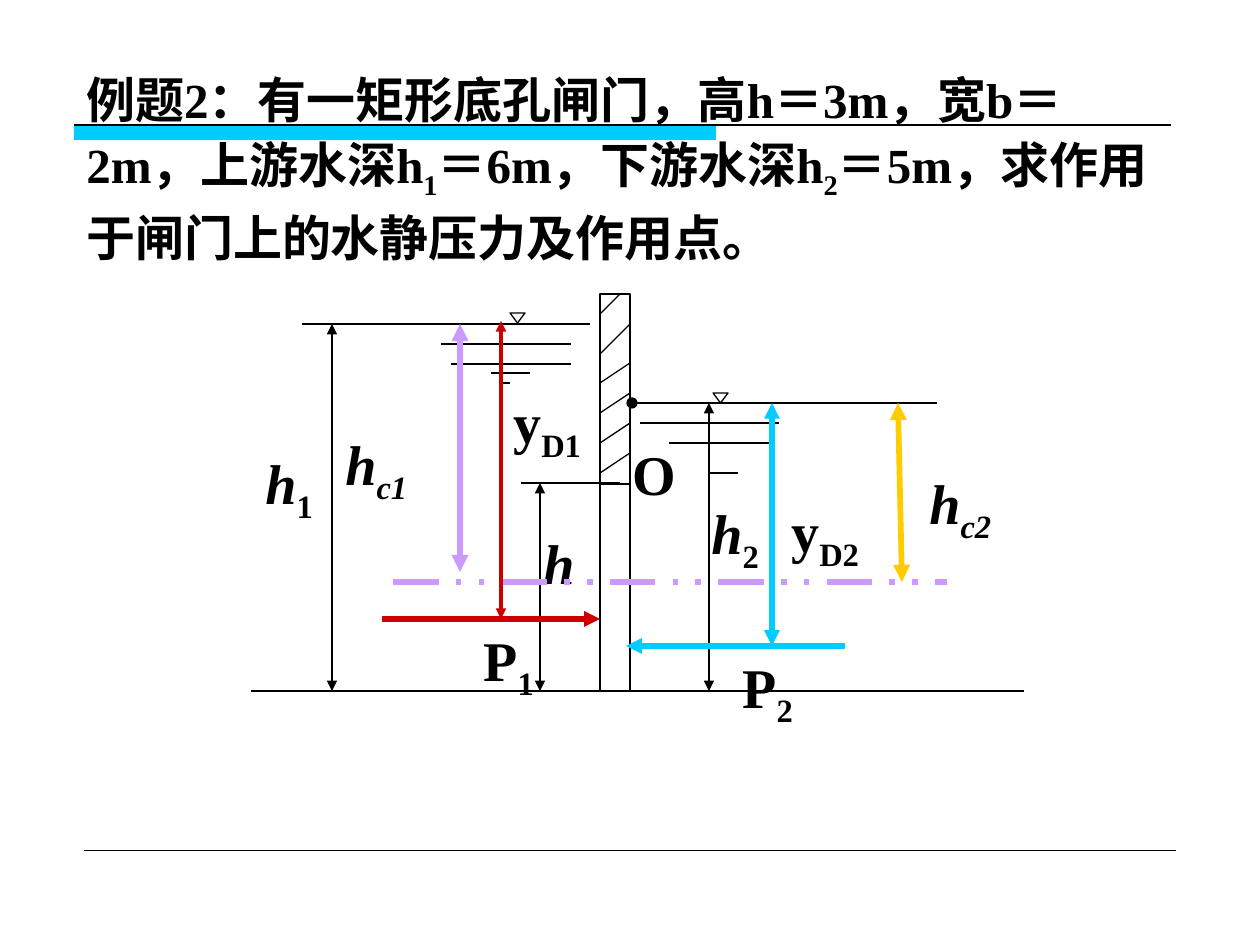
import pptx
import pptx.util
import pptx.dml.color
import pptx.enum.dml
import pptx.enum.shapes
import pptx.enum.text
import pptx.oxml.ns
import lxml.etree

RGB = pptx.dml.color.RGBColor
SHAPE = pptx.enum.shapes.MSO_SHAPE
BLACK = RGB(0x00, 0x00, 0x00)
WHITE = RGB(0xFF, 0xFF, 0xFF)
CYAN = RGB(0x00, 0xCC, 0xFF)
RED = RGB(0xCC, 0x00, 0x00)
VIOLET = RGB(0xCC, 0x99, 0xFF)
GOLD = RGB(0xFF, 0xCC, 0x00)
FONT = "Times New Roman"

# Problem statement and labels: (text, style), style "i" italic, "_" subscript
PROBLEM = [
    ("例题2：有一矩形底孔闸门，高h＝3m，宽b＝2m，上游水深h", ""), ("1", "_"),
    ("＝6m，下游水深h", ""), ("2", "_"),
    ("＝5m，求作用于闸门上的水静压力及作用点。", ""),
]
LABELS = [  # left, top, width, height, runs
    (253, 442, 110, 89, [("h", "i"), ("1", "_")]),
    (699, 492, 110, 89, [("h", "i"), ("2", "_")]),
    (531, 522, 110, 81, [("h", "i")]),
    (620, 433, 79, 81, [("O", "")]),
    (471, 619, 129, 89, [("P", ""), ("1", "_")]),
    (501, 381, 129, 89, [("y", ""), ("D1", "_")]),
    (333, 423, 155, 89, [("h", "i"), ("c1", "i_")]),
    (917, 462, 113, 89, [("h", "i"), ("c2", "i_")]),
    (730, 646, 79, 89, [("P", ""), ("2", "_")]),
    (779, 490, 129, 89, [("y", ""), ("D2", "_")]),
]

# Levels of the drawing
WALL_L, WALL_R, WALL_TOP, FLOOR = 600, 630, 294, 691
UP, DOWN, GATE = 324, 403, 483
CENTROID, P1_Y, P2_Y = 582, 619, 646

HORIZONTALS = [  # x1, x2, y
    (WALL_L, WALL_R, GATE + 1), (251, 1024, FLOOR),
    (302, 590, UP), (WALL_R, 937, DOWN),
    (441, 571, 344), (451, 571, 364), (491, 530, 373), (501, 510, 383),
    (640, 779, 423), (669, 769, 443), (709, 738, 473), (521, 620, GATE),
]
HATCHES = [(314, 620, 294), (354, WALL_R, 324)]  # left y, right x, right y
HATCHES += [(383 + 30 * i, WALL_R, 363 + 30 * i) for i in range(4)]
DEPTHS = [(332, UP), (540, GATE), (709, DOWN)]  # x, top
MARKS = [(721, DOWN), (518, UP - 1)]  # centre x, water level

ARROWS = [  # x1, y1, x2, y2, colour, points, heads
    (501, 321, 501, P1_Y, RED, 2, "both"),
    (382, P1_Y, WALL_L, P1_Y, RED, 3, "end"),
    (460, UP, 460, 572, VIOLET, 3.25, "both"),
    (898, DOWN, 902, CENTROID, GOLD, 3.25, "both"),
    (772, DOWN, 772, P2_Y, CYAN, 3, "both"),
    (626, P2_Y, 845, P2_Y, CYAN, 3, "start"),
]
HEADS = {"": [], "start": ["headEnd"], "end": ["tailEnd"],
         "both": ["headEnd", "tailEnd"]}

qn = pptx.oxml.ns.qn
prs = pptx.Presentation()
prs.slide_width = pptx.util.Inches(10)
prs.slide_height = pptx.util.Inches(7.5)
s = prs.slides.add_slide(prs.slide_layouts[6])


def px(n):
    return round(n * 914400 / 126)


def line(x1, y1, x2, y2, color=BLACK, width=0.75, heads="", dash=None):
    sp = s.shapes.add_connector(pptx.enum.shapes.MSO_CONNECTOR.STRAIGHT,
                                px(x1), px(y1), px(x2), px(y2))
    sp.line.color.rgb = color
    sp.line.width = pptx.util.Pt(width)
    if dash:
        sp.line.dash_style = dash
    spPr = sp._element.spPr
    for tag in HEADS[heads]:
        lxml.etree.SubElement(spPr.find(qn("a:ln")), qn("a:" + tag), type="triangle")
    lxml.etree.SubElement(spPr, qn("a:effectLst"))


def shape(kind, x, y, w, h, fill, outline=True):
    sp = s.shapes.add_shape(kind, px(x), px(y), px(w), px(h))
    sp.shadow.inherit = False
    sp.fill.solid()
    sp.fill.fore_color.rgb = fill
    if outline:
        sp.line.color.rgb = BLACK
        sp.line.width = pptx.util.Pt(0.75)
    else:
        sp.line.fill.background()
    return sp


def text(x, y, w, h, runs, size, spacing=None):
    tf = s.shapes.add_textbox(px(x), px(y), px(w), px(h)).text_frame
    tf.word_wrap = True
    p = tf.paragraphs[0]
    p.line_spacing = spacing
    p.font.name = FONT
    p.font.size = pptx.util.Pt(size)
    p.font.bold = True
    p.font.color.rgb = BLACK
    for content, style in runs:
        r = p.add_run()
        r.text = content
        if "i" in style:
            r.font.italic = True
        if "_" in style:
            r._r.get_or_add_rPr().set("baseline", "-25000")


# Title rule and footer rule
shape(SHAPE.RECTANGLE, 74, 125, 642, 15, CYAN, outline=False)
line(74, 125, 1171, 125)
line(84, 850, 1176, 850, width=0.25)
text(74, 57, 1111, 215, PROBLEM, 28, 1.1)

# Wall with hatching, water surfaces and floor
shape(SHAPE.RECTANGLE, WALL_L, WALL_TOP, WALL_R - WALL_L, FLOOR - WALL_TOP, WHITE)
for y1, x2, y2 in HATCHES:
    line(WALL_L, y1, x2, y2)
for x1, x2, y in HORIZONTALS:
    line(x1, y, x2, y)
for x, y in MARKS:
    shape(SHAPE.ISOSCELES_TRIANGLE, x - 8, y - 10, 15, 10, WHITE).rotation = 180

# Depth dimensions, labels and hinge
for x, top in DEPTHS:
    line(x, top, x, FLOOR, heads="both")
for x, y, w, h, runs in LABELS:
    text(x, y, w, h, runs, 32)
shape(SHAPE.OVAL, 627, DOWN - 5, 10, 10, BLACK)

# Centroid axis, forces and their depths
line(393, CENTROID, 947, CENTROID, VIOLET, 3.25,
     dash=pptx.enum.dml.MSO_LINE.DASH_DOT_DOT)
for arrow in ARROWS:
    line(*arrow)

prs.save("out.pptx")
